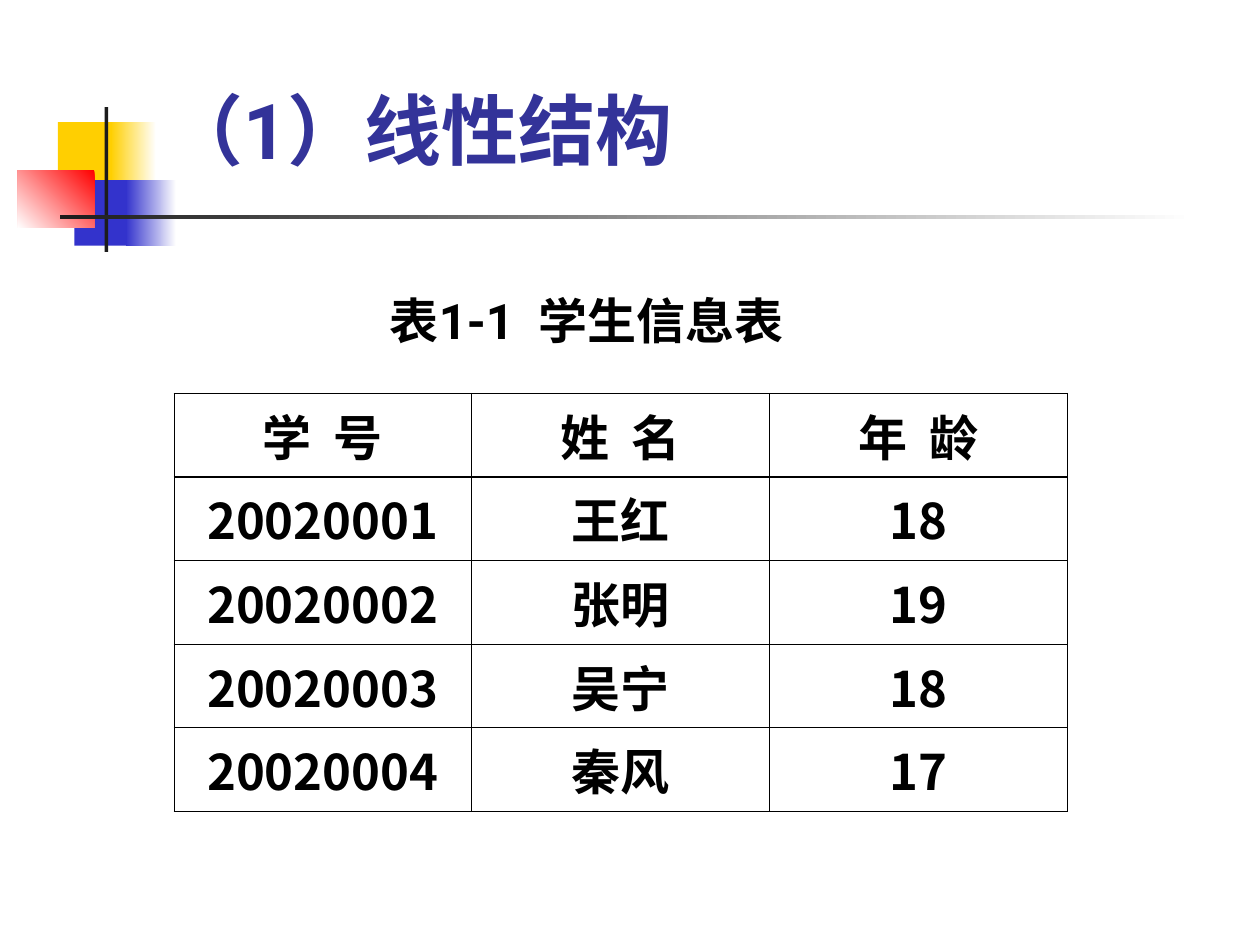
from dataclasses import dataclass

from lxml import etree
from pptx import Presentation
from pptx.dml.color import RGBColor
from pptx.enum.shapes import MSO_SHAPE
from pptx.enum.text import MSO_ANCHOR, MSO_AUTO_SIZE, PP_ALIGN
from pptx.oxml.ns import qn
from pptx.util import Pt

PX = 9144  # EMU in one px, 100 px to the inch
RECTANGLE = MSO_SHAPE.RECTANGLE
BOTTOM = MSO_ANCHOR.BOTTOM
LEFT, CENTER = PP_ALIGN.LEFT, PP_ALIGN.CENTER
NO_AUTOFIT = MSO_AUTO_SIZE.NONE
TITLE_ONLY = 5


@dataclass(frozen=True)
class Theme:
    title: str = "333399"
    text: str = "000000"
    white: str = "FFFFFF"
    yellow: str = "FFCF01"
    blue: str = "3333CC"
    red: str = "FF0000"
    dark: str = "1C1C1C"
    heading_font: str = "Roboto"
    table_font: str = "Noto Sans CJK SC"
    title_size: int = 44
    text_size: int = 28
    outer_line: float = 0.34
    thin_line: float = 0.45
    header_line: float = 0.96


THEME = Theme()

ROWS = [
    ("学  号", "姓  名", "年  龄"),
    ("20020001", "王红", "18"),
    ("20020002", "张明", "19"),
    ("20020003", "吴宁", "18"),
    ("20020004", "秦风", "17"),
]


def emu(*lengths):
    return [length * PX for length in lengths]


def style_paragraph(paragraph, font_name, size, color, alignment):
    paragraph.alignment = alignment
    font = paragraph.font
    font.name, font.size, font.bold = font_name, Pt(size), True
    font.color.rgb = RGBColor.from_string(color)


def add_block(slide, box, colors, angle=180):
    """Rectangle with one plain colour, or a gradient between two."""
    shape = slide.shapes.add_shape(RECTANGLE, *emu(*box))
    shape.shadow.inherit = False
    shape.line.fill.background()
    if len(colors) == 1:
        shape.fill.solid()
        shape.fill.fore_color.rgb = RGBColor.from_string(colors[0])
    else:
        shape.fill.gradient()
        shape.fill.gradient_angle = angle
        for stop, color in zip(shape.fill.gradient_stops, colors):
            stop.color.rgb = RGBColor.from_string(color)


def add_decoration(slide, left, top):
    """Coloured squares with a crossing pair of rules."""
    blocks = [
        ((32, 12, 48, 52), (THEME.yellow,)),
        ((74, 12, 36, 52), (THEME.white, THEME.yellow)),
        ((45, 58, 46, 52), (THEME.blue,)),
        ((86, 58, 40, 52), (THEME.white, THEME.blue)),
        ((0, 50, 61, 46), (THEME.red, THEME.white), 225),
        ((69, 0, 3, 115), (THEME.dark,)),
        ((34, 86, 900, 3), (THEME.white, THEME.dark)),
    ]
    for (x, y, width, height), *paint in blocks:
        add_block(slide, (left + x, top + y, width, height), *paint)


def set_title(slide, box, text):
    title = slide.shapes.title
    title.left, title.top, title.width, title.height = emu(*box)
    frame = title.text_frame
    frame.text = text
    frame.auto_size = NO_AUTOFIT
    frame.vertical_anchor = BOTTOM
    style_paragraph(frame.paragraphs[0], THEME.heading_font,
                    THEME.title_size, THEME.title, LEFT)


def add_caption(slide, box, text):
    frame = slide.shapes.add_textbox(*emu(*box)).text_frame
    frame.word_wrap = True
    frame.vertical_anchor = BOTTOM
    # Wider margins seat the caption slightly left of centre, above the table
    frame.margin_right, frame.margin_bottom = emu(24, 9)
    frame.text = text
    style_paragraph(frame.paragraphs[0], THEME.heading_font,
                    THEME.text_size, THEME.text, CENTER)


def set_borders(cell, widths):
    """Draw the left, right, top and bottom borders, widths in points."""
    properties = cell._tc.get_or_add_tcPr()
    for side, width in zip("LRTB", widths):
        line = etree.SubElement(properties, qn(f"a:ln{side}"), w=str(int(Pt(width))))
        fill = etree.SubElement(line, qn("a:solidFill"))
        etree.SubElement(fill, qn("a:srgbClr"), val=THEME.text)


def add_student_table(slide, box, rows):
    row_count, column_count = len(rows), len(rows[0])
    frame = slide.shapes.add_table(row_count, column_count, *emu(*box))
    table = frame.table
    table.horz_banding = False
    for r, row in enumerate(rows):
        for c, text in enumerate(row):
            cell = table.cell(r, c)
            cell.text = text
            paragraph = cell.text_frame.paragraphs[0]
            paragraph.space_before = Pt(7)
            style_paragraph(paragraph, THEME.table_font,
                            THEME.text_size, THEME.text, CENTER)
            set_borders(cell, (
                THEME.outer_line if c == 0 else THEME.thin_line,
                THEME.outer_line if c == column_count - 1 else THEME.thin_line,
                THEME.header_line if r == 1 else THEME.thin_line,
                THEME.header_line if r == 0 else THEME.thin_line,
            ))
            cell.fill.background()


def main():
    presentation = Presentation()
    presentation.slide_width, presentation.slide_height = emu(1000, 750)
    slide = presentation.slides.add_slide(presentation.slide_layouts[TITLE_ONLY])
    add_decoration(slide, 14, 85)
    set_title(slide, (122, 52, 852, 92), "（1）线性结构")
    add_student_table(slide, (138, 312, 709, 332), ROWS)
    add_caption(slide, (185, 218, 575, 68), "表1-1  学生信息表")
    presentation.save("out.pptx")


if __name__ == "__main__":
    main()
